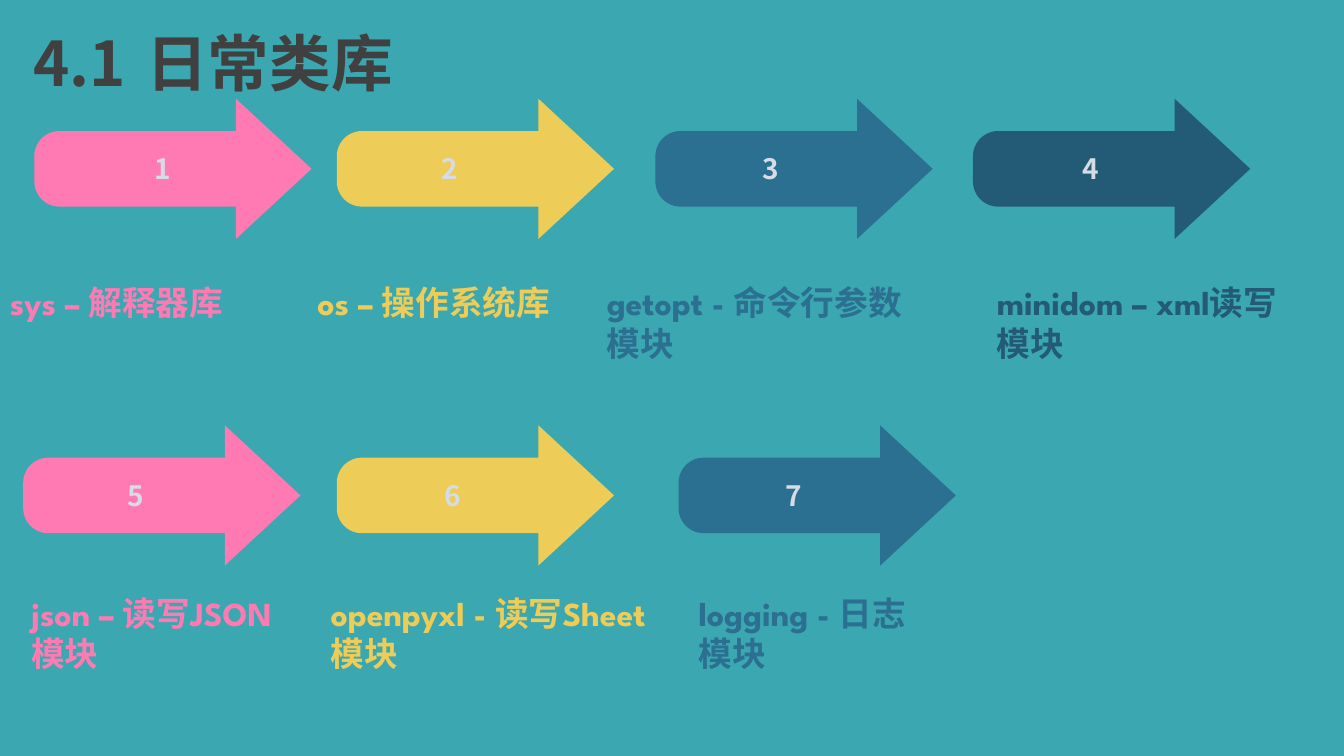
from math import cos, pi, sin

from lxml.etree import SubElement
from pptx import Presentation
from pptx.dml.color import RGBColor
from pptx.enum.dml import MSO_PATTERN
from pptx.enum.text import MSO_ANCHOR, MSO_AUTO_SIZE, PP_ALIGN
from pptx.oxml.ns import qn
from pptx.util import Inches, Pt

SECTION, TITLE = "4.1", "日常类库"
ROWS = [
    {"arrow_y": 0.98, "number_y": 1.45, "label_y": 2.75, "items": [
        ("1", ["sys – 解释器库"], "pink", 0.34, 1.26, 0, 2.71),
        ("2", ["os – 操作系统库"], "yellow", 3.34, 4.11, 3.05, 2.87),
        ("3", ["getopt - 命令行参数", "模块"], "blue", 6.5, 7.29, 5.92, 4.04),
        ("4", ["minidom – xml读写", "模块"], "navy", 9.65, 10.47, 9.79, 4.04),
    ]},
    {"arrow_y": 4.22, "number_y": 4.7, "label_y": 5.83, "items": [
        ("5", ["json – 读写JSON", "模块"], "pink", 0.23, 1, 0.21, 2.88),
        ("6", ["openpyxl - 读写Sheet", "模块"], "yellow", 3.34, 4.14, 3.18, 3.55),
        ("7", ["logging - 日志", "模块"], "blue", 6.73, 7.52, 6.83, 2.55),
    ]},
]
THEME = {
    "back": "3BA7B0", "title": "404040", "pink": "FF7AB2", "yellow": "EDCC58",
    "blue": "2B6F91", "navy": "235A75", "stripe": "44546A", "number": "D6DCE5",
    "outline": "333F50",
    "title_font": {"name": "Noto Sans CJK JP", "size": Pt(44), "bold": True},
    "label_font": {"name": "League Spartan", "size": Pt(24), "bold": True},
    "number_font": {"name": "Noto Sans CJK SC", "size": Pt(20), "bold": True},
}
ARROW = {"width": 2.75, "height": 1.39, "neck": 2.0, "shoulder": 0.32, "radius": 0.25}


def color(key):
    """Return a theme colour."""
    return RGBColor.from_string(THEME[key])


def write(sp, box, lines, font, key, align=PP_ALIGN.LEFT):
    """Place a text shape, write its paragraphs and return their runs."""
    sp.left, sp.top, sp.width, sp.height = (Inches(v) for v in box)
    tf = sp.text_frame
    frame = {"word_wrap": True, "auto_size": MSO_AUTO_SIZE.SHAPE_TO_FIT_TEXT,
             "vertical_anchor": MSO_ANCHOR.TOP}
    for name, value in frame.items():
        setattr(tf, name, value)
    tf.text = "\n".join(lines)
    runs = []
    for p in tf.paragraphs:
        p.alignment, p.line_spacing = align, 1.0
        r = p.runs[0]
        for name, value in THEME[font].items():
            setattr(r.font, name, value)
        r.font.color.rgb = color(key)
        SubElement(r.font._element, qn("a:ea"), typeface=THEME[font]["name"])
        runs.append(r)
    return runs


def add_text(s, *args, **kwargs):
    """Add a text box and write into it."""
    return write(s.shapes.add_textbox(0, 0, 0, 0), *args, **kwargs)


def add_arrow(s, x, y, key):
    """Draw an arrow with a rounded tail."""
    width, height, neck, shoulder, radius = ARROW.values()
    foot = height - shoulder
    steps = [i * pi / 24 for i in range(13)]
    upper = [(radius - radius * sin(a), shoulder + radius - radius * cos(a)) for a in steps]
    lower = [(px, height - py) for px, py in reversed(upper)]
    points = [(width, height / 2), (neck, 0), (neck, shoulder), *upper, *lower,
              (neck, foot), (neck, height)]
    points = [(Inches(x + px), Inches(y + py)) for px, py in points]
    builder = s.shapes.build_freeform(*points[0])
    builder.add_line_segments(points[1:], close=True)
    sp = builder.convert_to_shape()
    sp.shadow.inherit = False
    sp.fill.solid()
    sp.fill.fore_color.rgb = color(key)
    sp.line.fill.background()


def add_number(s, x, y, number):
    """Add a striped, outlined number."""
    r = add_text(s, (x, y, 0.7, 0.44), [number], "number_font", "number",
                 align=PP_ALIGN.CENTER)[0]
    fill = r.font.fill
    fill.patterned()
    fill.pattern = MSO_PATTERN.DARK_UPWARD_DIAGONAL
    fill.fore_color.rgb, fill.back_color.rgb = color("stripe"), color("number")
    rpr = r.font._element
    ln = SubElement(rpr, qn("a:ln"), w=str(Pt(1)))
    SubElement(SubElement(ln, qn("a:solidFill")), qn("a:srgbClr"), val=THEME["outline"])
    rpr.insert(0, ln)


def main():
    """Build the slide and save it."""
    prs = Presentation()
    prs.slide_width, prs.slide_height = Inches(13.33), Inches(7.5)
    s = prs.slides.add_slide(prs.slide_layouts[5])
    s.background.fill.solid()
    s.background.fill.fore_color.rgb = color("back")
    write(s.shapes.title, (1.35, 0.2, 3.4, 0.77), [TITLE], "title_font", "title")
    add_text(s, (0.23, 0.2, 1.46, 0.77), [SECTION], "title_font", "title")
    for row in ROWS:
        for number, lines, key, arrow_x, number_x, label_x, label_w in row["items"]:
            add_arrow(s, arrow_x, row["arrow_y"], key)
            add_number(s, number_x, row["number_y"], number)
            box = (label_x, row["label_y"], label_w, 0.1 + 0.4 * len(lines))
            add_text(s, box, lines, "label_font", key)
    prs.save("out.pptx")


if __name__ == "__main__":
    main()
